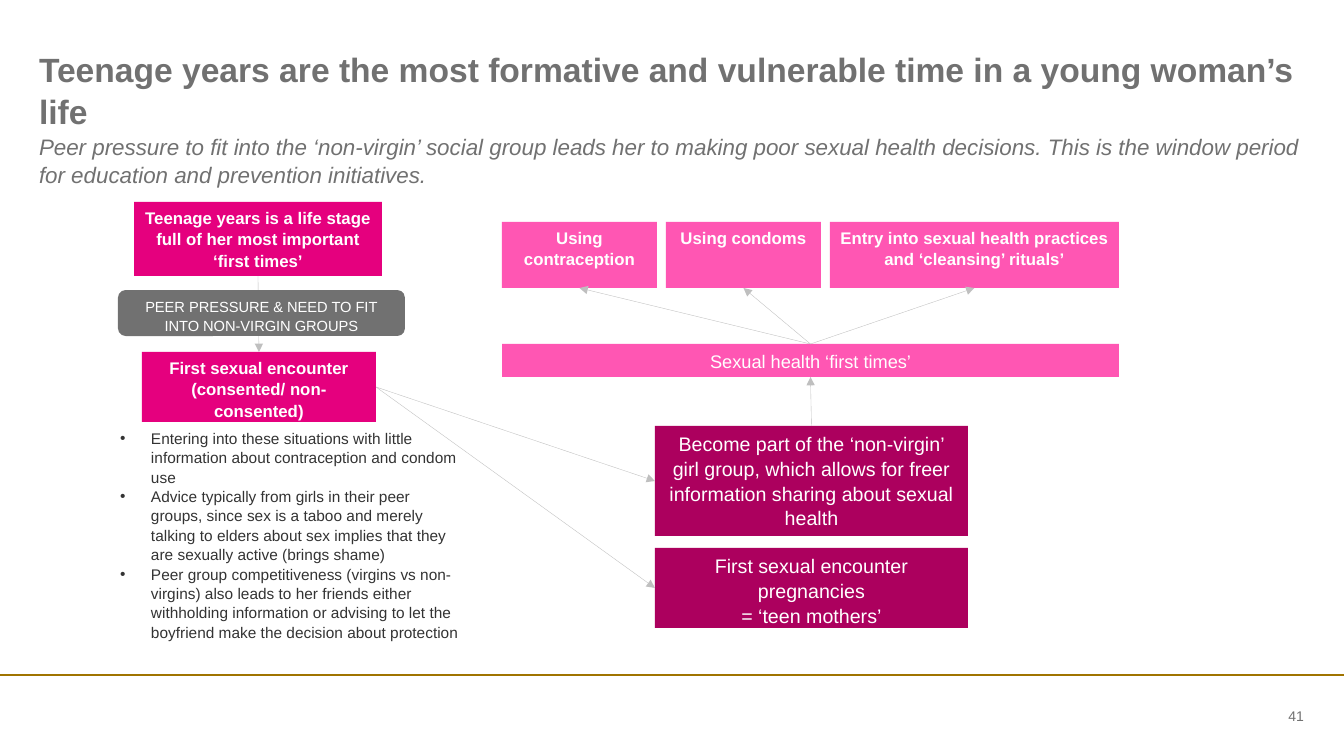
"""Build the slide on first times and peer pressure in a young woman's teenage years."""
from dataclasses import dataclass

from lxml.etree import SubElement
from pptx import Presentation
from pptx.dml.color import RGBColor
from pptx.enum.shapes import MSO_CONNECTOR, MSO_SHAPE
from pptx.enum.text import MSO_ANCHOR, MSO_AUTO_SIZE, PP_ALIGN
from pptx.oxml.ns import qn
from pptx.util import Emu, Pt


@dataclass(frozen=True)
class Theme:
    font: str = "Arial"
    grey: str = "717171"
    dark: str = "333333"
    white: str = "FFFFFF"
    magenta: str = "E5007E"
    plum: str = "AC005E"
    pink: str = "FF56B3"
    arrow: str = "BFBFBF"
    gold: str = "A07400"
    title: float = 24
    subtitle: float = 16
    outcome: float = 14
    band: float = 13
    card: float = 12
    bullet: float = 11
    pressure: float = 10.5
    number: float = 10
    spacing: float = 1.05


THEME = Theme()
PX = 914400 / 100.8
SLIDE_WIDTH, SLIDE_HEIGHT = 1344, 756


def write(shape, text, size, color, align=PP_ALIGN.LEFT, bold=False, italic=False):
    frame = shape.text_frame
    frame.text = text
    frame.word_wrap = True
    frame.auto_size = MSO_AUTO_SIZE.NONE
    frame.vertical_anchor = MSO_ANCHOR.TOP
    for paragraph in frame.paragraphs:
        paragraph.alignment = align
        paragraph.line_spacing = THEME.spacing
        paragraph.space_before = Pt(0)
        for run in paragraph.runs:
            run.font.name = THEME.font
            run.font.size = Pt(size)
            run.font.bold = bold
            run.font.italic = italic
            run.font.color.rgb = RGBColor.from_string(color)


def draw_line(start, end, color, width):
    line = slide.shapes.add_connector(
        MSO_CONNECTOR.STRAIGHT, *(Emu(round(n * PX)) for n in (*start, *end)))
    line.line.color.rgb = RGBColor.from_string(color)
    line.line.width = Pt(width)
    SubElement(line._element.spPr, qn("a:effectLst"))
    return line


presentation = Presentation()
presentation.slide_width = Emu(round(SLIDE_WIDTH * PX))
presentation.slide_height = Emu(round(SLIDE_HEIGHT * PX))
slide = presentation.slides.add_slide(presentation.slide_layouts[3])

draw_line((0, 675), (SLIDE_WIDTH, 675), THEME.gold, 1.5)

title, subtitle, risks = slide.placeholders
page_number = slide.shapes.add_textbox(0, 0, 0, 0)
for holder, bounds in (
    (title, (39, 47, 1264, 44)),
    (subtitle, (39, 132, 1265, 43)),
    (risks, (120, 428, 343, 253)),
    (page_number, (1197, 705, 107, 22)),
):
    holder.left, holder.top, holder.width, holder.height = (
        Emu(round(n * PX)) for n in bounds)
    frame = holder.text_frame
    frame.margin_left = frame.margin_right = frame.margin_top = frame.margin_bottom = 0

write(title, "Teenage years are the most formative and vulnerable time in a young woman’s life",
      THEME.title, THEME.grey, bold=True)
write(subtitle, "Peer pressure to fit into the ‘non-virgin’ social group leads her to making poor "
      "sexual health decisions. This is the window period for education and prevention "
      "initiatives.", THEME.subtitle, THEME.grey, italic=True)
write(risks, "\n".join((
    "Entering into these situations with little information about contraception and condom use",
    "Advice typically from girls in their peer groups, since sex is a taboo and merely talking "
    "to elders about sex implies that they are sexually active (brings shame)",
    "Peer group competitiveness (virgins vs non-virgins) also leads to her friends either "
    "withholding information or advising to let the boyfriend make the decision about protection",
)), THEME.bullet, THEME.dark)
write(page_number, "41", THEME.number, THEME.grey, PP_ALIGN.RIGHT)
page_number.text_frame.vertical_anchor = MSO_ANCHOR.MIDDLE

for holder, indent, bullet in ((subtitle, 0, None), (risks, 31, "•")):
    for paragraph in holder.text_frame.paragraphs:
        properties = paragraph._p.get_or_add_pPr()
        properties.set("marL", str(round(indent * PX)))
        properties.set("indent", str(round(-indent * PX)))
        if bullet:
            SubElement(properties, qn("a:buFont"), typeface=THEME.font)
            SubElement(properties, qn("a:buChar"), char=bullet)
        else:
            SubElement(properties, qn("a:buNone"))

BAND_LEFT, CARD_GAP = 502, 9
BOXES = [
    ("life_stage", "Teenage years is a life stage full of her most important ‘first times’",
     (134, 202, 248, 74), THEME.magenta, THEME.card, True),
    ("encounter", "First sexual encounter (consented/ non-consented)",
     (142, 352, 234, 70), THEME.magenta, THEME.card, True),
    ("mothers", "First sexual encounter pregnancies\n= ‘teen mothers’",
     (655, 548, 313, 80), THEME.plum, THEME.outcome, False),
    ("group", "Become part of the ‘non-virgin’ girl group, which allows for freer "
     "information sharing about sexual health",
     (655, 426, 313, 110), THEME.plum, THEME.outcome, False),
    ("first_times", "Sexual health ‘first times’",
     (BAND_LEFT, 344, 617, 33), THEME.pink, THEME.band, False),
]
card_left = BAND_LEFT
for key, text, width in (
    ("contraception", "Using contraception", 155),
    ("condoms", "Using condoms", 155),
    ("rituals", "Entry into sexual health practices and ‘cleansing’ rituals’", 289),
):
    BOXES.append((key, text, (card_left, 222, width, 66), THEME.pink, THEME.card, True))
    card_left += width + CARD_GAP
BOXES.append(("pressure", "PEER PRESSURE & NEED TO FIT INTO NON-VIRGIN GROUPS",
              (118, 290, 287, 46), THEME.grey, THEME.pressure, False))

stages = {}
for key, text, bounds, fill, size, bold in BOXES:
    outline = MSO_SHAPE.ROUNDED_RECTANGLE if key == "pressure" else MSO_SHAPE.RECTANGLE
    stage = slide.shapes.add_shape(outline, *(Emu(round(n * PX)) for n in bounds))
    stage.shadow.inherit = False
    stage.fill.solid()
    stage.fill.fore_color.rgb = RGBColor.from_string(fill)
    stage.line.fill.background()
    write(stage, text, size, THEME.white, PP_ALIGN.CENTER, bold)
    stages[key] = stage

TOP, LEFT, BOTTOM, RIGHT = range(4)
for source, source_side, target, target_side in (
    ("life_stage", BOTTOM, "encounter", TOP),
    ("encounter", RIGHT, "group", LEFT),
    ("encounter", RIGHT, "mothers", LEFT),
    ("group", TOP, "first_times", BOTTOM),
    ("first_times", TOP, "contraception", BOTTOM),
    ("first_times", TOP, "condoms", BOTTOM),
    ("first_times", TOP, "rituals", BOTTOM),
):
    arrow = draw_line((0, 0), (0, 0), THEME.arrow, 0.25)
    arrow.begin_connect(stages[source], source_side)
    arrow.end_connect(stages[target], target_side)
    SubElement(arrow.line._get_or_add_ln(), qn("a:tailEnd"), type="triangle")

slide.shapes._spTree.append(stages["pressure"]._element)

presentation.save("out.pptx")
